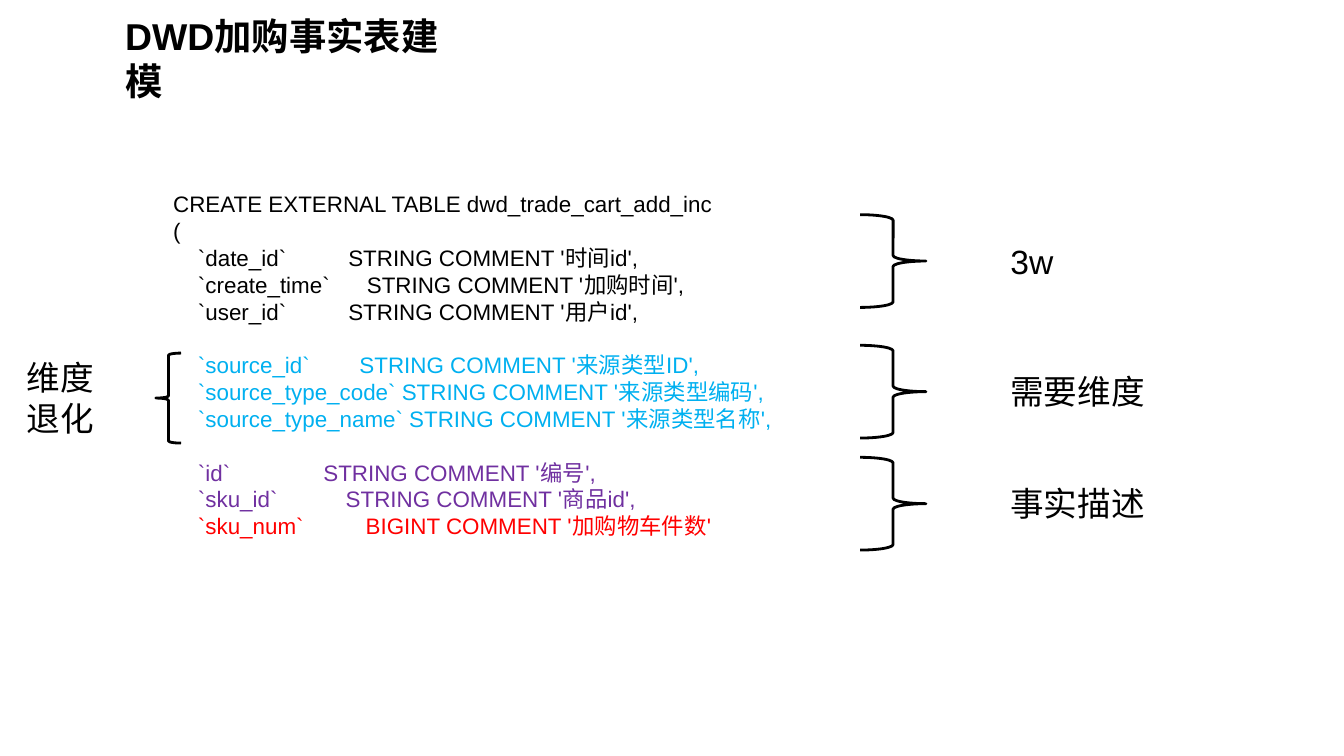
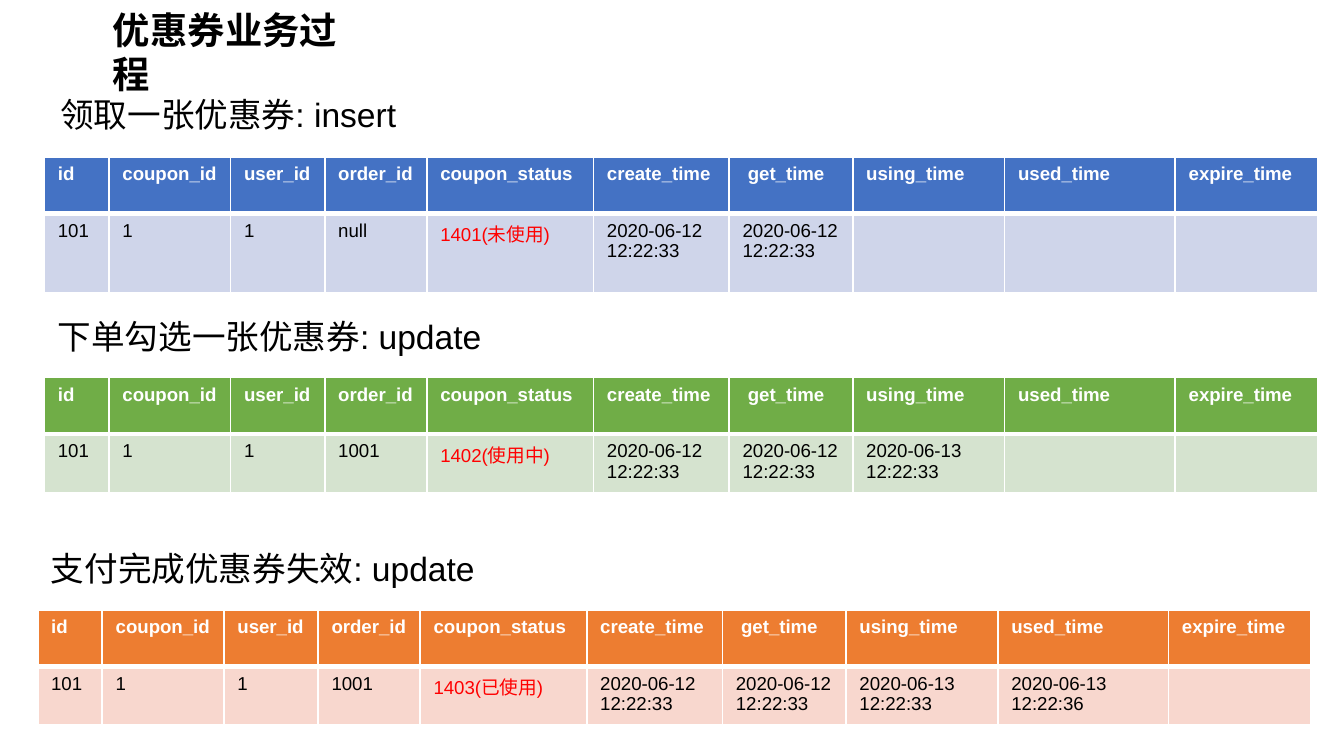
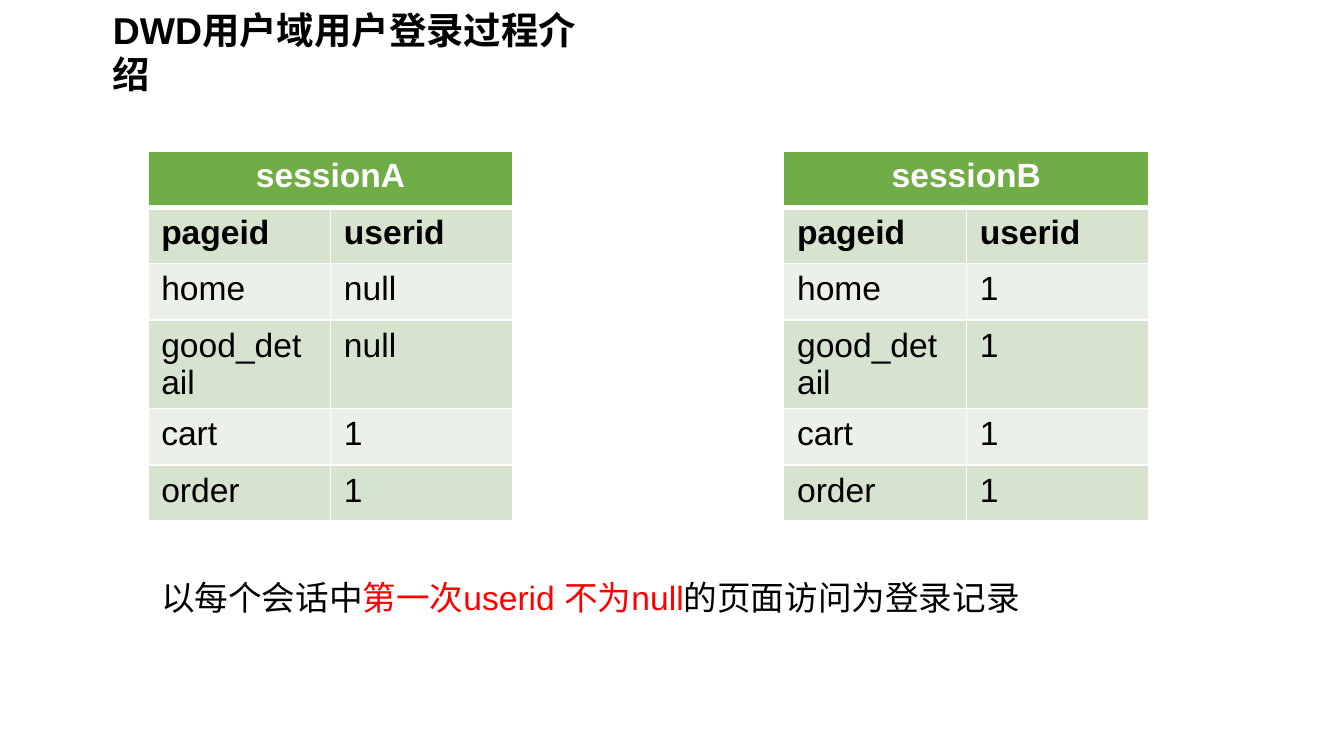
from dataclasses import dataclass
from typing import NamedTuple

from lxml import etree
from pptx import Presentation
from pptx.dml.color import RGBColor
from pptx.enum import shapes, text
from pptx.oxml import ns
from pptx.util import Pt


@dataclass(frozen=True)
class Theme:
    font: str = "Arial"
    black: str = "000000"
    white: str = "FFFFFF"
    red: str = "FF0000"
    cyan: str = "00B0F0"
    purple: str = "7030A0"
    title: float = 20
    label: float = 18
    code: float = 12
    cell: float = 10
    thin: float = 1
    thick: float = 3
    brace: float = 1.5


class Palette(NamedTuple):
    header: str
    band: str
    light_band: str = "FFFFFF"


class Frame(NamedTuple):
    left: float
    top: float
    width: float
    height: float

    def points(self) -> list:
        return [Pt(value) for value in self]


class Span(NamedTuple):
    text: str
    color: str


class CodeBlock(NamedTuple):
    color: str
    lines: tuple[str, ...]


class Brace(NamedTuple):
    top: float
    label: str
    label_width: float


class CouponStep(NamedTuple):
    caption: str
    caption_frame: Frame
    table_left: float
    table_top: float
    row_height: float
    palette: Palette
    values: tuple[str, ...]


class Session(NamedTuple):
    name: str
    left: float
    user_ids: tuple[str, ...]


THEME = Theme()
BLUE = Palette("4472C4", "CFD5EA")
GREEN = Palette("70AD47", "D5E3CF", "EBF1E9")
ORANGE = Palette("ED7D31", "F8D7CE")

CODE = (
    CodeBlock(THEME.black, (
        "CREATE EXTERNAL TABLE dwd_trade_cart_add_inc",
        "(",
        "    `date_id`          STRING COMMENT '时间id',",
        "    `create_time`      STRING COMMENT '加购时间',",
        "    `user_id`          STRING COMMENT '用户id',",
    )),
    CodeBlock(THEME.cyan, (
        "    `source_id`        STRING COMMENT '来源类型ID',",
        "    `source_type_code` STRING COMMENT '来源类型编码',",
        "    `source_type_name` STRING COMMENT '来源类型名称',",
    )),
    CodeBlock(THEME.purple, (
        "    `id`               STRING COMMENT '编号',",
        "    `sku_id`           STRING COMMENT '商品id',",
        "    `sku_num`          BIGINT COMMENT '加购物车件数'",
    )),
)
BLOCK_GAP = 14.2

BRACES = (
    Brace(115, "3w", 45),
    Brace(185, "需要维度", 92),
    Brace(245, "事实描述", 92),
)

COUPON_COLUMNS = {
    "id": 34.6, "coupon_id": 65.2, "user_id": 50.4, "order_id": 54.7,
    "coupon_status": 89.3, "create_time": 72.7, "get_time": 66.2,
    "using_time": 81.4, "used_time": 91.4, "expire_time": 76.3,
}
HEADER_HEIGHT = 30.2
GET_TIME_MARGIN = 10

RECEIVED = "2020-06-12\n12:22:33"
ORDERED = "2020-06-13\n12:22:33"
PAID = "2020-06-13\n12:22:36"
STEPS = (
    CouponStep("领取一张优惠券: insert", Frame(25.2, 46.8, 209, 29), 23.8, 84.2, 42.5, BLUE,
               ("101", "1", "1", "null", "1401(未使用)", RECEIVED, RECEIVED, "", "", "")),
    CouponStep("下单勾选一张优惠券: update", Frame(23.8, 165.6, 246, 29), 23.8, 202.3, 30, GREEN,
               ("101", "1", "1", "1001", "1402(使用中)", RECEIVED, RECEIVED, ORDERED, "", "")),
    CouponStep("支付完成优惠券失效: update", Frame(20.2, 290.2, 274, 29), 20.2, 326.9, 30, ORANGE,
               ("101", "1", "1", "1001", "1403(已使用)", RECEIVED, RECEIVED, ORDERED, PAID, "")),
)

PAGE_IDS = ("home", "good_detail", "cart", "order")
SESSIONS = (
    Session("sessionA", 79.2, ("null", "null", "1", "1")),
    Session("sessionB", 419.8, ("1", "1", "1", "1")),
)
SESSION_COLUMN = 97.9


def style_font(font, size: float, color: str, bold: bool = False) -> None:
    font.name = THEME.font
    font.size = Pt(size)
    font.bold = bold
    font.color.rgb = RGBColor.from_string(color)


def style_runs(frame, size: float, color: str, bold: bool = False) -> None:
    for para in frame.paragraphs:
        for span in para.runs:
            style_font(span.font, size, color, bold)


def add_page(deck, title: str, frame: Frame):
    page = deck.slides.add_slide(deck.slide_layouts[5])
    box = page.shapes.title
    box.left, box.top, box.width, box.height = frame.points()
    body = box.text_frame
    body.text = title
    body.word_wrap = True
    body.auto_size = text.MSO_AUTO_SIZE.NONE
    body.vertical_anchor = text.MSO_ANCHOR.TOP
    body.paragraphs[0].alignment = text.PP_ALIGN.LEFT
    style_runs(body, THEME.title, THEME.black, bold=True)
    return page


def add_text(page, frame: Frame, words: str = ""):
    box = page.shapes.add_textbox(*frame.points())
    body = box.text_frame
    body.word_wrap = True
    body.text = words
    style_runs(body, THEME.label, THEME.black)
    return body


def add_brace(page, kind, frame: Frame) -> None:
    brace = page.shapes.add_shape(kind, *frame.points())
    brace.shadow.inherit = False
    brace.fill.background()
    brace.line.color.rgb = RGBColor.from_string(THEME.black)
    brace.line.width = Pt(THEME.brace)


def add_code(page, frame: Frame) -> None:
    body = add_text(page, frame)
    body.text = "\n".join(line for block in CODE for line in block.lines)
    paras = iter(body.paragraphs)
    for number, block in enumerate(CODE):
        for row, line in enumerate(block.lines):
            para = next(paras)
            color = THEME.red if "sku_num" in line else block.color
            style_font(para.runs[0].font, THEME.code, color)
            if number and row == 0:
                para.space_before = Pt(BLOCK_GAP)


def set_borders(cell, top: float, bottom: float) -> None:
    properties = cell._tc.get_or_add_tcPr()
    widths = {"a:lnL": THEME.thin, "a:lnR": THEME.thin, "a:lnT": top, "a:lnB": bottom}
    for tag, width in widths.items():
        line = etree.SubElement(properties, ns.qn(tag), w=str(Pt(width)))
        fill = etree.SubElement(line, ns.qn("a:solidFill"))
        etree.SubElement(fill, ns.qn("a:srgbClr"), val=THEME.white)


def add_grid(page, left: float, top: float, widths, heights, rows, size: float,
             palette: Palette):
    """Draw a table with a header row over alternating bands."""
    frame = Frame(left, top, sum(widths), sum(heights))
    table = page.shapes.add_table(len(rows), len(widths), *frame.points()).table
    table.horz_banding = False
    for column, width in zip(table.columns, widths):
        column.width = Pt(width)
    for number, (row, height, values) in enumerate(zip(table.rows, heights, rows)):
        row.height = Pt(height)
        header = number == 0
        band = palette.band if number % 2 else palette.light_band
        for cell, value in zip(row.cells, values):
            set_borders(cell, THEME.thick if number == 1 else THEME.thin,
                        THEME.thick if header else THEME.thin)
            cell.fill.solid()
            cell.fill.fore_color.rgb = RGBColor.from_string(palette.header if header else band)
            cell.text = value
            style_runs(cell.text_frame, size, THEME.white if header else THEME.black, header)
    return table


def build_cart_page(deck) -> None:
    page = add_page(deck, "DWD加购事实表建模", Frame(59.8, 3.6, 202.3, 31.7))
    add_code(page, Frame(85.7, 98.6, 365.8, 196.6))
    for brace in BRACES:
        add_brace(page, shapes.MSO_SHAPE.RIGHT_BRACE, Frame(460.8, brace.top, 35.3, 49.7))
        add_text(page, Frame(534.2, brace.top + 10.4, brace.label_width, 29), brace.label)
    add_brace(page, shapes.MSO_SHAPE.LEFT_BRACE, Frame(83.5, 189.2, 13.5, 48.2))
    add_text(page, Frame(7.2, 187.9, 61.2, 51), "维度\n退化")


def build_coupon_page(deck) -> None:
    page = add_page(deck, "优惠券业务过程", Frame(53.3, 0, 154, 31.7))
    names = list(COUPON_COLUMNS)
    for step in STEPS:
        table = add_grid(page, step.table_left, step.table_top, COUPON_COLUMNS.values(),
                         (HEADER_HEIGHT, step.row_height), (names, step.values),
                         THEME.cell, step.palette)
        table.cell(0, names.index("get_time")).margin_left = Pt(GET_TIME_MARGIN)
        status = table.cell(1, names.index("coupon_status"))
        style_runs(status.text_frame, THEME.cell, THEME.red)
        add_text(page, step.caption_frame, step.caption)


def build_login_page(deck) -> None:
    page = add_page(deck, "DWD用户域用户登录过程介绍", Frame(53.3, 0, 282.2, 31.7))
    for session in SESSIONS:
        rows = [(session.name, ""), ("pageid", "userid"), *zip(PAGE_IDS, session.user_ids)]
        table = add_grid(page, session.left, 80.8, [SESSION_COLUMN] * 2,
                         [HEADER_HEIGHT] * len(rows), rows, THEME.label, GREEN)
        title = table.cell(0, 0)
        title.merge(table.cell(0, 1))
        title.text_frame.paragraphs[0].alignment = text.PP_ALIGN.CENTER
        for cell in table.rows[1].cells:
            style_runs(cell.text_frame, THEME.label, THEME.black, bold=True)
    para = add_text(page, Frame(79.2, 305.3, 499.7, 29)).paragraphs[0]
    for part in (Span("以每个会话中", THEME.black),
                 Span("第一次userid 不为null", THEME.red),
                 Span("的页面访问为登录记录", THEME.black)):
        span = para.add_run()
        span.text = part.text
        style_font(span.font, THEME.label, part.color)


def main() -> None:
    deck = Presentation()
    deck.slide_width, deck.slide_height = Pt(720), Pt(405)
    build_cart_page(deck)
    build_coupon_page(deck)
    build_login_page(deck)
    deck.save("out.pptx")


if __name__ == "__main__":
    main()
